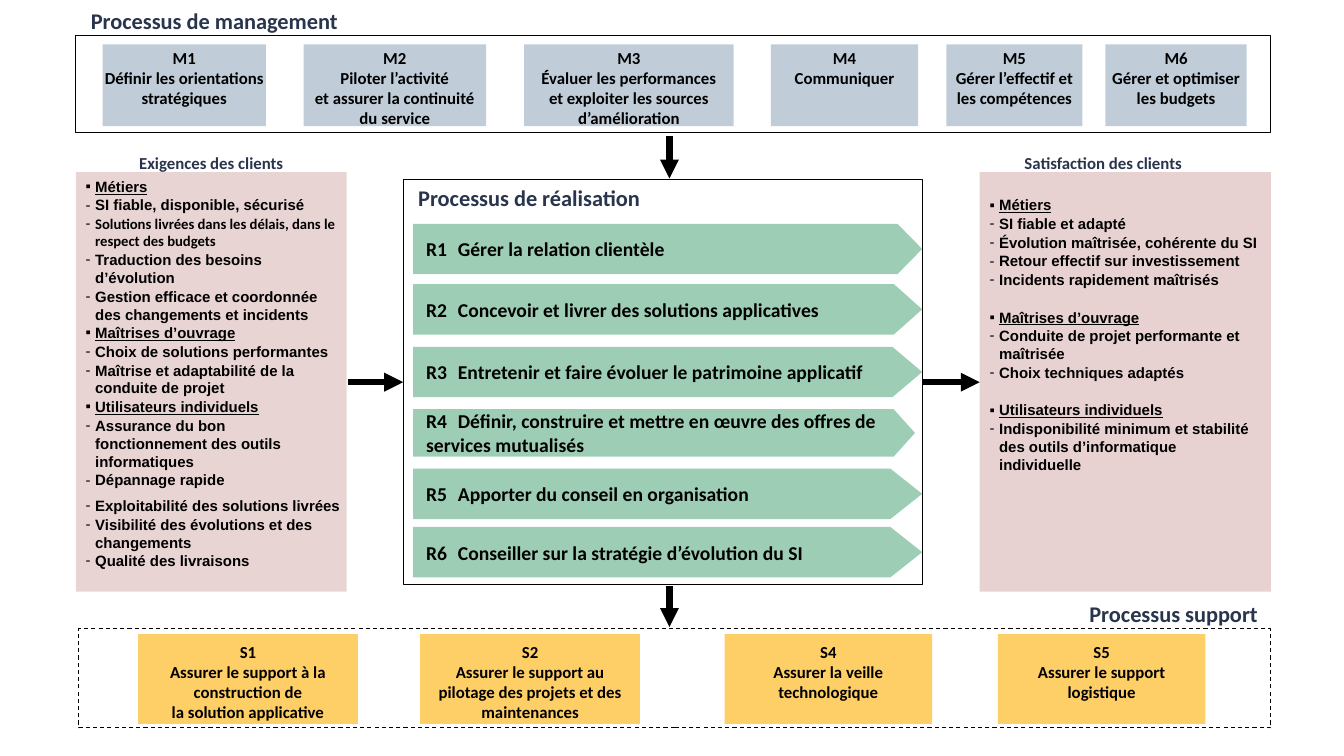
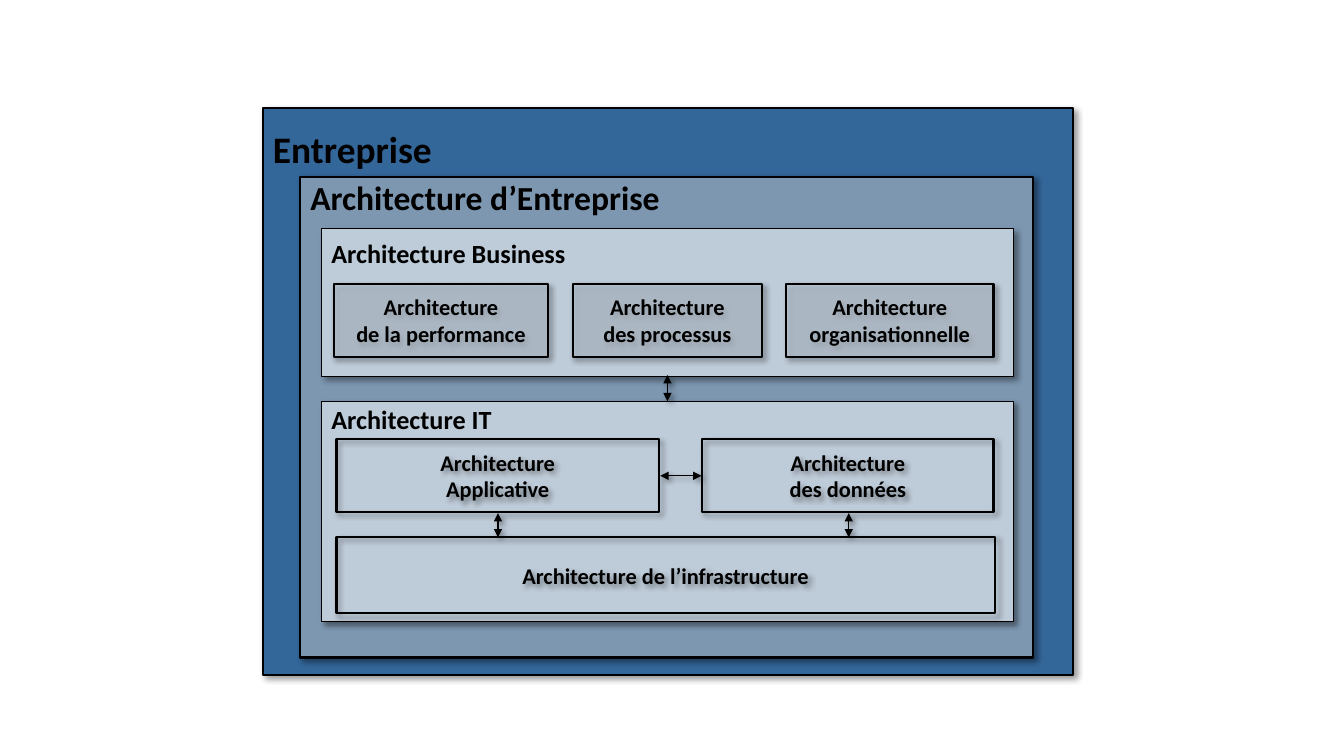
from lxml.etree import SubElement
from pptx import Presentation
from pptx.dml.color import RGBColor
from pptx.enum.dml import MSO_LINE
from pptx.enum.shapes import MSO_CONNECTOR, MSO_SHAPE
from pptx.enum.text import MSO_ANCHOR, PP_ALIGN
from pptx.oxml.ns import qn
from pptx.util import Cm, Pt

# Shared look
BLACK, NAVY = "000000", "29354C"
STEEL, PALE, BLUE = "7D97B1", "BECBD8", "336699"
GREEN, MAROON, YELLOW = "339966", "800000", "FFCF67"
LEFT, CENTER, RIGHT = PP_ALIGN.LEFT, PP_ALIGN.CENTER, PP_ALIGN.RIGHT
TOP, MIDDLE = MSO_ANCHOR.TOP, MSO_ANCHOR.MIDDLE

# Slide 1 content (lengths in cm)
# text, left, top, width, size, alignment
PROCESS_LABELS = [
    ("Processus de management", 2.29, 0.13, 8, 16, LEFT),
    ("Exigences des clients", 1.91, 3.71, 6.83, 12, CENTER),
    ("Satisfaction des clients", 23.93, 3.71, 7.75, 12, CENTER),
    ("Processus de réalisation", 10.54, 4.59, 8, 16, LEFT),
    ("Processus support", 24.31, 15.07, 7.39, 16, RIGHT),
]
# box, dash
FRAMES = [
    ((1.91, 0.89, 30.1, 2.46), None),
    ((10.16, 4.52, 13.08, 10.21), None),
    ((1.98, 15.85, 30.05, 2.49), MSO_LINE.DASH),
]
# lines, left, width, side inset
MANAGEMENT = [
    (["M1", "Définir les orientations", "stratégiques"], 2.59, 4.11, 0),
    (["M2", "Piloter l’activité", "et assurer la continuité du service"], 7.65, 4.6, 0.13),
    (["M3", "Évaluer les performances et exploiter les sources d’amélioration"],
     13.21, 5.28, 0.33),
    (["M4", "Communiquer"], 19.43, 3.71, 0.33),
    (["M5", "Gérer l’effectif et les compétences"], 23.85, 3.43, 0.13),
    (["M6", "Gérer et optimiser les budgets"], 27.86, 3.56, 0.13),
]
SUPPORT = [
    (["S1", "Assurer le support à la", "construction de", "la solution applicative"],
     3.48, 5.54, 0.33),
    (["S2", "Assurer le support au pilotage des projets et des maintenances"],
     10.59, 5.54, 0.33),
    (["S4", "Assurer la veille technologique"], 18.26, 5.23, 0.33),
    (["S5", "Assurer le support logistique"], 25.15, 5.23, 0.33),
]
# row: items, top, height, fill, opacity, top inset
ROWS = [
    (MANAGEMENT, 1.12, 2.06, STEEL, 48, 0.08),
    (SUPPORT, 15.98, 2.26, YELLOW, 100, 0.18),
]
# text, top, width, height, point depth
REALISATION = [
    ("R1\tGérer la relation clientèle", 5.64, 12.83, 1.27, 0.49),
    ("R2\tConcevoir et livrer des solutions applicatives", 7.16, 12.83, 1.27, 0.56),
    ("R3\tEntretenir et faire évoluer le patrimoine applicatif", 8.74, 12.83, 1.27, 0.59),
    ("R4\tDéfinir, construire et mettre en œuvre des offres de services mutualisés",
     10.31, 12.65, 1.2, 0.45),
    ("R5\tApporter du conseil en organisation", 11.81, 12.83, 1.27, 0.63),
    ("R6\tConseiller sur la stratégie d’évolution du SI", 13.28, 12.83, 1.27, 0.63),
]
# heading, items; an item may carry its own format
EXIGENCES = [
    ("Métiers", [
        "SI fiable, disponible, sécurisé",
        ("Solutions livrées dans les délais, dans le respect des budgets",
         {"name": "Calibri", "size": 10.5}),
        "Traduction des besoins d’évolution",
        "Gestion efficace et coordonnée des changements et incidents"]),
    ("Maîtrises d’ouvrage", [
        "Choix de solutions performantes",
        "Maîtrise et adaptabilité de la conduite de projet"]),
    ("Utilisateurs individuels", [
        "Assurance du bon fonctionnement des outils informatiques",
        "Dépannage rapide",
        ("Exploitabilité des solutions livrées", {"space_before": 5.5}),
        "Visibilité des évolutions et des changements",
        "Qualité des livraisons"]),
]
SATISFACTION = [
    ("Métiers", [
        "SI fiable et adapté",
        "Évolution maîtrisée, cohérente du SI",
        "Retour effectif sur investissement",
        "Incidents rapidement maîtrisés"]),
    ("Maîtrises d’ouvrage", [
        "Conduite de projet performante et maîtrisée",
        "Choix techniques adaptés"]),
    ("Utilisateurs individuels", [
        "Indisponibilité minimum et stabilité des outils d’informatique individuelle"]),
]
# groups, box, opacity, insets, space before a heading
PANELS = [
    (EXIGENCES, (1.91, 4.34, 6.83, 10.57), 17, (0.25, 0.13, 0.13, 0.13), 0.5),
    (SATISFACTION, (24.69, 4.34, 7.34, 10.57), 18, (0.25, 0.6, 0.25, 0.13), 14),
]
FLOW_ARROWS = [
    (8.76, 9.63, 10.16, 9.63), (23.24, 9.63, 24.69, 9.63),
    (16.87, 3.43, 16.87, 4.5), (16.87, 14.76, 16.87, 15.8),
]

# Slide 2 content
# title, box, fill, line width, size, top inset
LAYERS = [
    ("Entreprise", (6.63, 2.72, 20.42, 14.3), BLUE, 1.5, 26.7, 0.47),
    ("Architecture d’Entreprise", (7.57, 4.45, 18.47, 12.12), STEEL, 1.5, 24, 0),
    ("Architecture Business", (8.1, 5.77, 17.45, 3.71), PALE, 0.75, 18.7, 0.2),
    ("Architecture IT", (8.1, 10.11, 17.45, 5.56), PALE, 0.75, 18.7, 0.05),
]
# lines, box, fill
BLOCKS = [
    (["Architecture de l’infrastructure"], (8.48, 13.54, 16.59, 1.91), None),
    (["Architecture", "Applicative"], (8.48, 11.07, 8.13, 1.83), None),
    (["Architecture", "des données"], (17.7, 11.07, 7.34, 1.83), None),
    (["Architecture", "de la performance"], (8.41, 7.16, 5.41, 1.83), PALE),
    (["Architecture", "des processus"], (14.43, 7.16, 4.78, 1.83), PALE),
    (["Architecture", "organisationnelle"], (19.81, 7.16, 5.23, 1.83), PALE),
]
LINKS = [
    (16.82, 10.11, 16.82, 9.45), (12.55, 13.54, 12.55, 12.93),
    (21.39, 13.54, 21.39, 12.93), (16.64, 11.99, 17.68, 11.99),
]


def color(value):
    return RGBColor.from_string(value)


def add_element(parent, tag, **attributes):
    return SubElement(parent, qn(tag), {key: str(val) for key, val in attributes.items()})


def add_shadow(effects):
    shadow = add_element(effects, "a:outerShdw", blurRad=Pt(4), dist=Pt(3),
                         dir=45 * 60000, algn="tl", rotWithShape=0)
    add_element(add_element(shadow, "a:srgbClr", val=BLACK), "a:alpha", val=40000)


def add_box(slide, box, fill=None, opacity=100, line=None, dash=None,
            kind=MSO_SHAPE.RECTANGLE, shadow=False):
    shape = slide.shapes.add_shape(kind, *map(Cm, box))
    properties = shape.element.spPr
    if fill:
        shape.fill.solid()
        shape.fill.fore_color.rgb = color(fill)
        if opacity < 100:
            add_element(properties.find(qn("a:solidFill"))[0], "a:alpha", val=opacity * 1000)
    else:
        shape.fill.background()
    if line:
        shape.line.color.rgb = color(BLACK)
        shape.line.width = Pt(line)
    else:
        shape.line.fill.background()
    if dash:
        shape.line.dash_style = dash
    shape.shadow.inherit = False
    if shadow:
        add_shadow(properties.find(qn("a:effectLst")))
    return shape


def set_frame(shape, insets, anchor, wrap=True):
    frame = shape.text_frame
    left, top, right, bottom = map(Cm, insets)
    layout = {"margin_left": left, "margin_top": top, "margin_right": right,
              "margin_bottom": bottom, "vertical_anchor": anchor, "word_wrap": wrap}
    for name, value in layout.items():
        setattr(frame, name, value)
    return frame


def add_run(paragraph, text, size, text_color=BLACK, **changes):
    run = paragraph.add_run()
    run.text = text
    run.font.color.rgb = color(text_color)
    formats = {"name": "Calibri", "size": Pt(size), "bold": True, **changes}
    for name, value in formats.items():
        setattr(run.font, name, value)


def next_paragraph(frame, first):
    return frame.paragraphs[0] if first else frame.add_paragraph()


def write_lines(frame, lines, size, align=CENTER, text_color=BLACK):
    for index, line in enumerate(lines):
        paragraph = next_paragraph(frame, index == 0)
        paragraph.alignment = align
        add_run(paragraph, line, size, text_color)


def write_bullets(frame, groups, heading_space):
    entries = []
    for heading, items in groups:
        entries.append((heading, "▪", {"underline": True, "space_before": heading_space}))
        for item in items:
            text, changes = (item, {}) if isinstance(item, str) else item
            entries.append((text, "-", changes))
    for index, (text, bullet, changes) in enumerate(entries):
        formats = {"name": "Arial", "size": 10.7, "space_before": 0.5, **changes}
        space = formats.pop("space_before")
        paragraph = next_paragraph(frame, index == 0)
        paragraph.alignment = LEFT
        paragraph.space_before = Pt(space if index else 0)
        properties = paragraph._p.get_or_add_pPr()
        properties.set("marL", str(Cm(0.24)))
        properties.set("indent", str(-Cm(0.24)))
        add_element(properties, "a:buFont", typeface="Arial")
        add_element(properties, "a:buChar", char=bullet)
        add_run(paragraph, text, **formats)


def add_arrow(slide, ends, width, both=False, shadow=False):
    connector = slide.shapes.add_connector(MSO_CONNECTOR.STRAIGHT, *map(Cm, ends))
    connector.line.color.rgb = color(BLACK)
    connector.line.width = Pt(width)
    properties = connector.element.spPr
    line = properties.find(qn("a:ln"))
    if both:
        add_element(line, "a:headEnd", type="triangle")
    add_element(line, "a:tailEnd", type="triangle")
    effects = add_element(properties, "a:effectLst")
    if shadow:
        add_shadow(effects)


def build_process_map(slide):
    for box, dash in FRAMES:
        add_box(slide, box, line=0.75, dash=dash)
    # Management and support rows
    for items, top, height, fill, opacity, top_inset in ROWS:
        for lines, left, width, side in items:
            shape = add_box(slide, (left, top, width, height), fill, opacity)
            write_lines(set_frame(shape, (side, top_inset, side, 0), TOP), lines, 12)
    # Customer panels
    for groups, box, opacity, insets, heading_space in PANELS:
        shape = add_box(slide, box, MAROON, opacity)
        write_bullets(set_frame(shape, insets, TOP), groups, heading_space)
    # Realisation chevrons
    for text, top, width, height, depth in REALISATION:
        shape = add_box(slide, (10.41, top, width, height), GREEN, 48, kind=MSO_SHAPE.PENTAGON)
        shape.adjustments[0] = depth
        frame = set_frame(shape, (0.33, 0.18, 0.33, 0.18), MIDDLE)
        tabs = add_element(frame.paragraphs[0]._p.get_or_add_pPr(), "a:tabLst")
        add_element(tabs, "a:tab", pos=Cm(0.8), algn="l")
        write_lines(frame, [text], 14, LEFT)
    # Labels and flow arrows
    for text, left, top, width, size, align in PROCESS_LABELS:
        label = slide.shapes.add_textbox(Cm(left), Cm(top), Cm(width), Cm(0.8))
        write_lines(set_frame(label, (0, 0, 0, 0), MIDDLE), [text], size, align, NAVY)
    for ends in FLOW_ARROWS:
        add_arrow(slide, ends, 4.5)


def build_architecture(slide):
    # Nested layers
    for title, box, fill, line, size, top_inset in LAYERS:
        shape = add_box(slide, box, fill, line=line, shadow=True)
        frame = set_frame(shape, (0.25, top_inset, 0.25, 0), TOP)
        write_lines(frame, [title], size, LEFT)
    # Inner blocks and their links
    for lines, box, fill in BLOCKS:
        shape = add_box(slide, box, fill, 49, line=1.5, shadow=True)
        write_lines(set_frame(shape, (0.25, 0.13, 0.25, 0.13), MIDDLE, False), lines, 16)
    for ends in LINKS:
        add_arrow(slide, ends, 0.75, both=True, shadow=True)


def main():
    presentation = Presentation()
    presentation.slide_width, presentation.slide_height = Cm(33.87), Cm(19.05)
    for build in (build_process_map, build_architecture):
        build(presentation.slides.add_slide(presentation.slide_layouts[6]))
    presentation.save("out.pptx")


if __name__ == "__main__":
    main()
